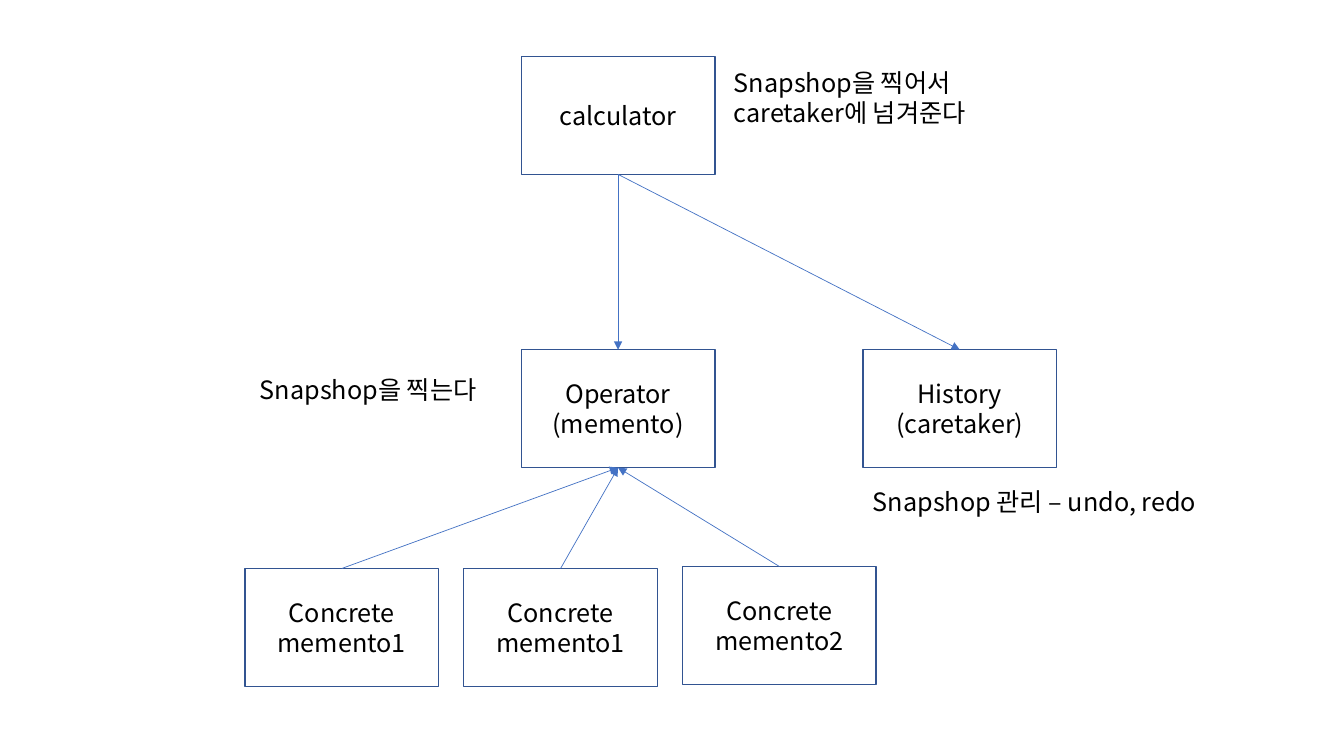
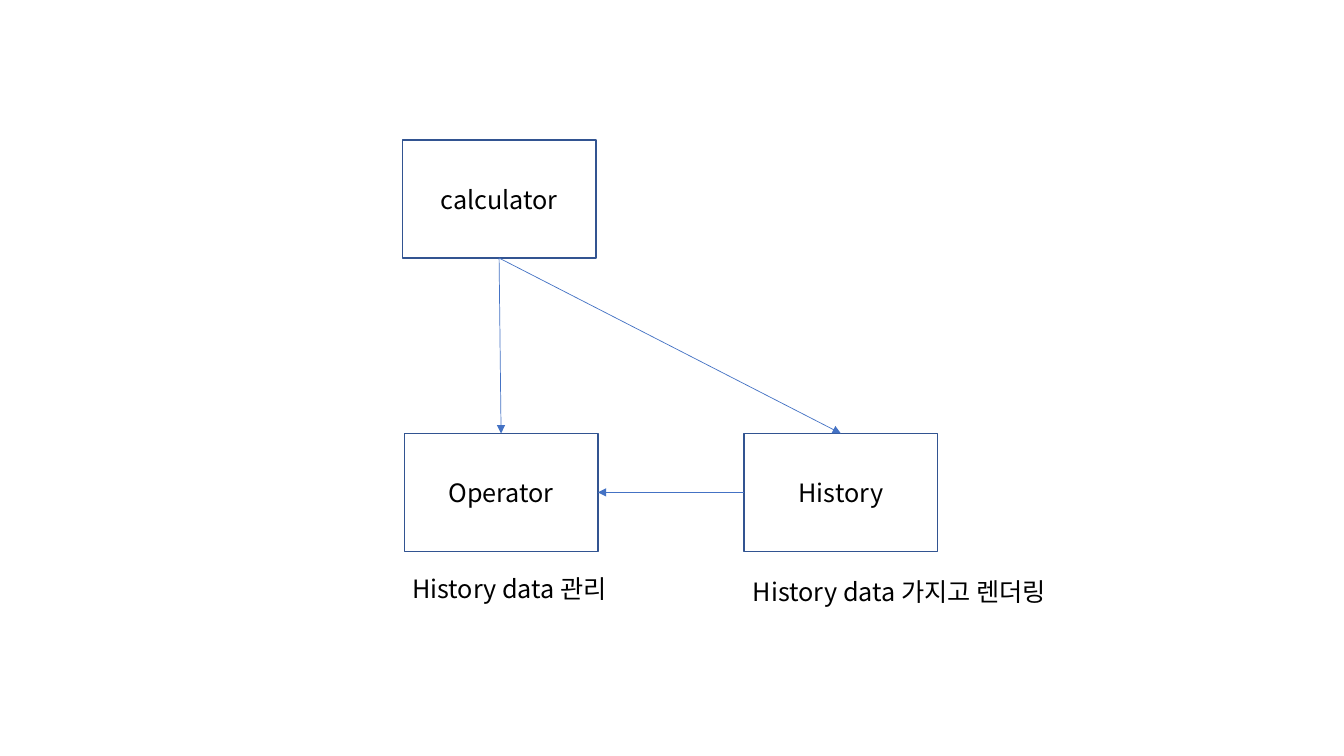
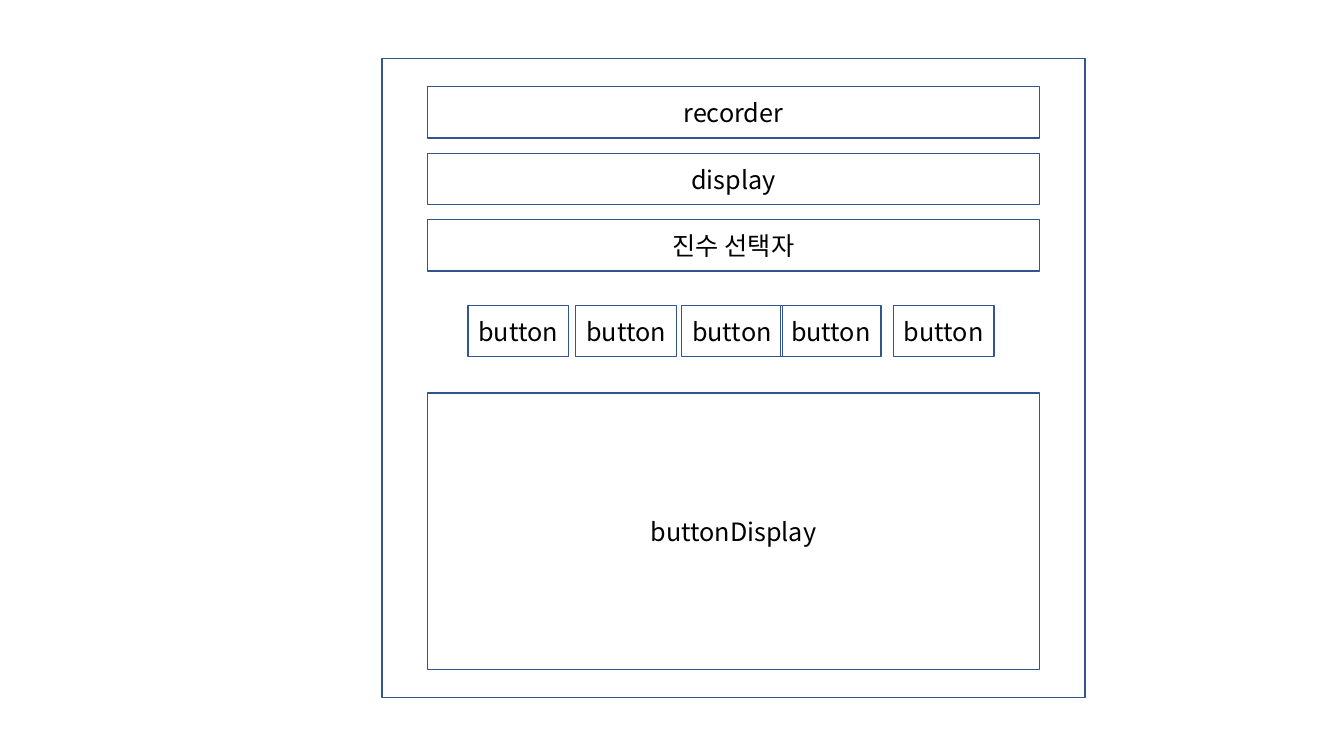
import pptx
import pptx.dml.color
import pptx.enum.shapes
import pptx.enum.text
import pptx.oxml.ns
import pptx.util
import lxml.etree

PX = 9144
FONT = "Noto Sans CJK KR"
INK = "000000"
OUTLINE = "325491"
ARROW = "4472C4"
NODE_WIDTH, NODE_HEIGHT = 192, 117
TOP, LEFT, BOTTOM = 0, 1, 2
RIGHT = 3


def px(length):
    return pptx.util.Emu(length * PX)


def color(hex_string):
    return pptx.dml.color.RGBColor.from_string(hex_string)


def add_xml(parent, tag, **attributes):
    return lxml.etree.SubElement(parent, pptx.oxml.ns.qn(tag), **attributes)


def write(frame, wording, alignment):
    frame.text = wording
    frame.word_wrap = True
    for paragraph in frame.paragraphs:
        paragraph.alignment = alignment
        for run in paragraph.runs:
            run.font.size = pptx.util.Pt(18)
            run.font.name = FONT
            run.font.color.rgb = color(INK)
            add_xml(run.font._element, "a:ea", typeface=FONT)


def add_box(slide, left, top, width, height, wording=""):
    box = slide.shapes.add_shape(
        pptx.enum.shapes.MSO_SHAPE.RECTANGLE,
        px(left), px(top), px(width), px(height))
    box.shadow.inherit = False
    box.fill.background()
    box.line.color.rgb = color(OUTLINE)
    box.line.width = pptx.util.Pt(1)
    if wording:
        frame = box.text_frame
        frame.margin_left = frame.margin_right = px(5)
        frame.vertical_anchor = pptx.enum.text.MSO_ANCHOR.MIDDLE
        write(frame, wording, pptx.enum.text.PP_ALIGN.CENTER)
    return box


def add_node(slide, left, top, wording):
    return add_box(slide, left, top, NODE_WIDTH, NODE_HEIGHT, wording)


def add_note(slide, left, top, width, height, wording):
    note = slide.shapes.add_textbox(px(left), px(top), px(width), px(height))
    write(note.text_frame, wording, pptx.enum.text.PP_ALIGN.LEFT)
    note.text_frame.auto_size = pptx.enum.text.MSO_AUTO_SIZE.SHAPE_TO_FIT_TEXT


def add_arrow(slide, source, source_side, target, target_side):
    arrow = slide.shapes.add_connector(
        pptx.enum.shapes.MSO_CONNECTOR.STRAIGHT, 0, 0, 0, 0)
    arrow.begin_connect(source, source_side)
    arrow.end_connect(target, target_side)
    arrow.line.color.rgb = color(ARROW)
    arrow.line.width = pptx.util.Pt(0.5)
    add_xml(arrow.line._get_or_add_ln(), "a:tailEnd", type="triangle")
    add_xml(arrow._element.spPr, "a:effectLst")


def add_classes(slide, left, top, operator_shift, operator_name, history_name):
    calculator = add_node(slide, left, top, "calculator")
    operator = add_node(slide, left + operator_shift, top + 291, operator_name)
    history = add_node(slide, left + 339, top + 291, history_name)
    for part in (operator, history):
        add_arrow(slide, calculator, BOTTOM, part, TOP)
    return operator, history


def add_mementos(slide, left, top, operator):
    for shift, drop, wording in (
            (0, 2, "Concrete memento1"),
            (217, 2, "Concrete memento1"),
            (434, 0, "Concrete memento2")):
        memento = add_node(slide, left + shift, top + drop, wording)
        add_arrow(slide, memento, TOP, operator, BOTTOM)


def build_memento_slide(slide):
    operator, _ = add_classes(
        slide, 517, 56, 0, "Operator\n(memento)", "History\n(caretaker)")
    add_mementos(slide, 243, 562, operator)
    add_note(slide, 856, 478, 367, 40, "Snapshop 관리 – undo, redo")
    add_note(slide, 248, 366, 247, 40, "Snapshop을 찍는다")
    add_note(slide, 718, 62, 272, 71, "Snapshop을 찍어서 caretaker에 넘겨준다")


def build_history_slide(slide):
    operator, history = add_classes(slide, 399, 139, 2, "Operator", "History")
    add_arrow(slide, history, LEFT, operator, RIGHT)
    add_note(slide, 399, 564, 367, 40, "History data 관리")
    add_note(slide, 737, 567, 367, 40, "History data 가지고 렌더링")


def add_calculator_layout(slide, left, top, width, height):
    inset, row_height = 45, 51
    inner_left, inner_width = left + inset, width - 2 * inset
    add_box(slide, left, top, width, height)
    for row, wording in enumerate(("recorder", "display", "진수 선택자")):
        add_box(slide, inner_left, top + 28 + 66 * row,
                inner_width, row_height, wording)
    for shift in (85, 192, 297, 395, 507):
        add_box(slide, left + shift, top + 245, 100, row_height, "button")
    add_box(slide, inner_left, top + 332, inner_width, 274, "buttonDisplay")


def build_layout_slide(slide):
    add_calculator_layout(slide, 379, 58, 697, 634)


def main():
    deck = pptx.Presentation()
    deck.slide_width, deck.slide_height = px(1333), px(750)
    blank = deck.slide_layouts[6]
    for build in (build_memento_slide, build_history_slide, build_layout_slide):
        build(deck.slides.add_slide(blank))
    deck.save("out.pptx")


if __name__ == "__main__":
    main()
